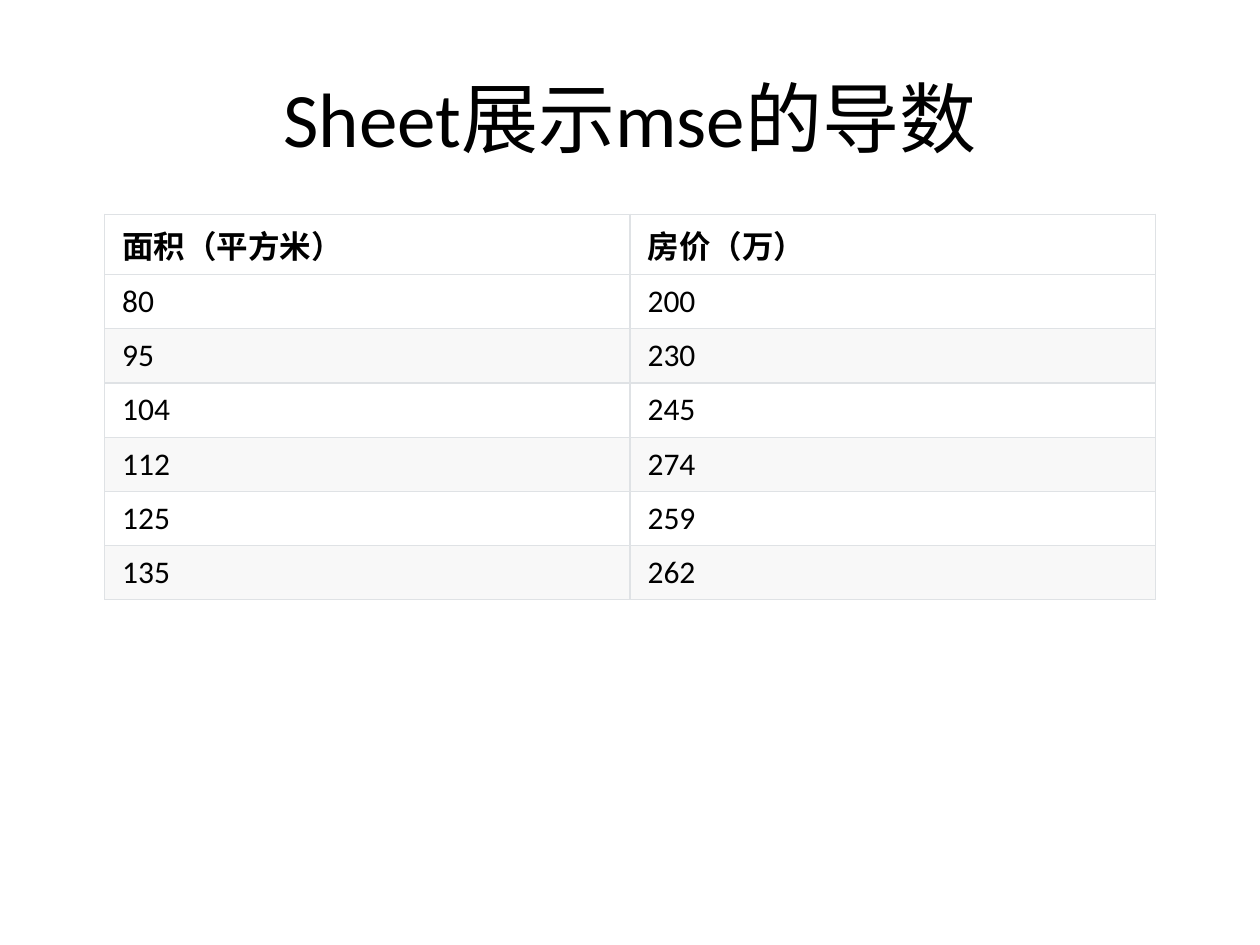
from dataclasses import dataclass
from typing import Any

from lxml import etree
from pptx import Presentation
from pptx.dml.color import RGBColor
from pptx.enum.text import MSO_ANCHOR, PP_ALIGN
from pptx.oxml.ns import qn
from pptx.util import Inches, Pt

MIDDLE = MSO_ANCHOR.MIDDLE
CENTER = PP_ALIGN.CENTER
LEFT = PP_ALIGN.LEFT

HUES = {"ink": "000000", "plain": "FFFFFF", "band": "F8F8F8", "rule": "DFE2E5"}
FRAME = {"word_wrap": True, "vertical_anchor": MIDDLE}
CELL = {
    "vertical_anchor": MIDDLE,
    "margin_left": Inches(0.14),
    "margin_right": Inches(0.14),
    "margin_top": Inches(0.06),
    "margin_bottom": Inches(0.06),
}
HEAD_TALL, BODY_TALL, COL_WIDE = Inches(0.48), Inches(0.43), Inches(4.17)


@dataclass(frozen=True)
class Style:
    size: int
    bold: bool = False
    align: PP_ALIGN = LEFT


@dataclass(frozen=True)
class Row:
    area: str
    price: str
    style: Style = Style(18)
    fill: str = "plain"


TITLE = Style(44, align=CENTER)
HOMES = [("80", "200"), ("95", "230"), ("104", "245"),
         ("112", "274"), ("125", "259"), ("135", "262")]
ROWS = [Row("面积（平方米）", "房价（万）", Style(18, bold=True))] + [
    Row(area, price, fill="band" if i % 2 else "plain")
    for i, (area, price) in enumerate(HOMES)
]


def apply(target: Any, values: dict[str, Any]) -> None:
    for name, value in values.items():
        setattr(target, name, value)


def write(frame: Any, text: str, style: Style) -> None:
    line = frame.paragraphs[0]
    line.alignment = style.align
    run = line.add_run()
    run.text = text
    apply(run.font, {"name": "Calibri", "size": Pt(style.size), "bold": style.bold})
    run.font.color.rgb = RGBColor.from_string(HUES["ink"])


def border(cell: Any) -> None:
    props = cell._tc.get_or_add_tcPr()
    for side in ("lnL", "lnR", "lnT", "lnB"):
        edge = etree.SubElement(props, qn(f"a:{side}"), w=str(Pt(0.75)))
        fill = etree.SubElement(edge, qn("a:solidFill"))
        etree.SubElement(fill, qn("a:srgbClr"), val=HUES["rule"])


def draw_cell(cell: Any, text: str, row: Row) -> None:
    apply(cell, CELL)
    border(cell)
    cell.fill.solid()
    cell.fill.fore_color.rgb = RGBColor.from_string(HUES[row.fill])
    write(cell.text_frame, text, row.style)


def draw_table(slide: Any, rows: list[Row]) -> None:
    tall = HEAD_TALL + BODY_TALL * (len(rows) - 1)
    grid = slide.shapes.add_table(
        len(rows), 2, Inches(0.83), Inches(1.7), COL_WIDE * 2, tall).table
    for col in grid.columns:
        col.width = COL_WIDE
    for i, row in enumerate(rows):
        grid.rows[i].height = BODY_TALL if i else HEAD_TALL
        for j, text in enumerate((row.area, row.price)):
            draw_cell(grid.cell(i, j), text, row)


def draw_title(slide: Any, text: str) -> None:
    box = slide.shapes.add_textbox(Inches(0.5), Inches(0.3), Inches(9), Inches(1.25))
    apply(box.text_frame, FRAME)
    write(box.text_frame, text, TITLE)


def main() -> None:
    deck = Presentation()
    apply(deck, {"slide_width": Inches(10), "slide_height": Inches(7.5)})
    slide = deck.slides.add_slide(deck.slide_layouts[6])
    draw_title(slide, "Sheet展示mse的导数")
    draw_table(slide, ROWS)
    deck.save("out.pptx")


if __name__ == "__main__":
    main()
